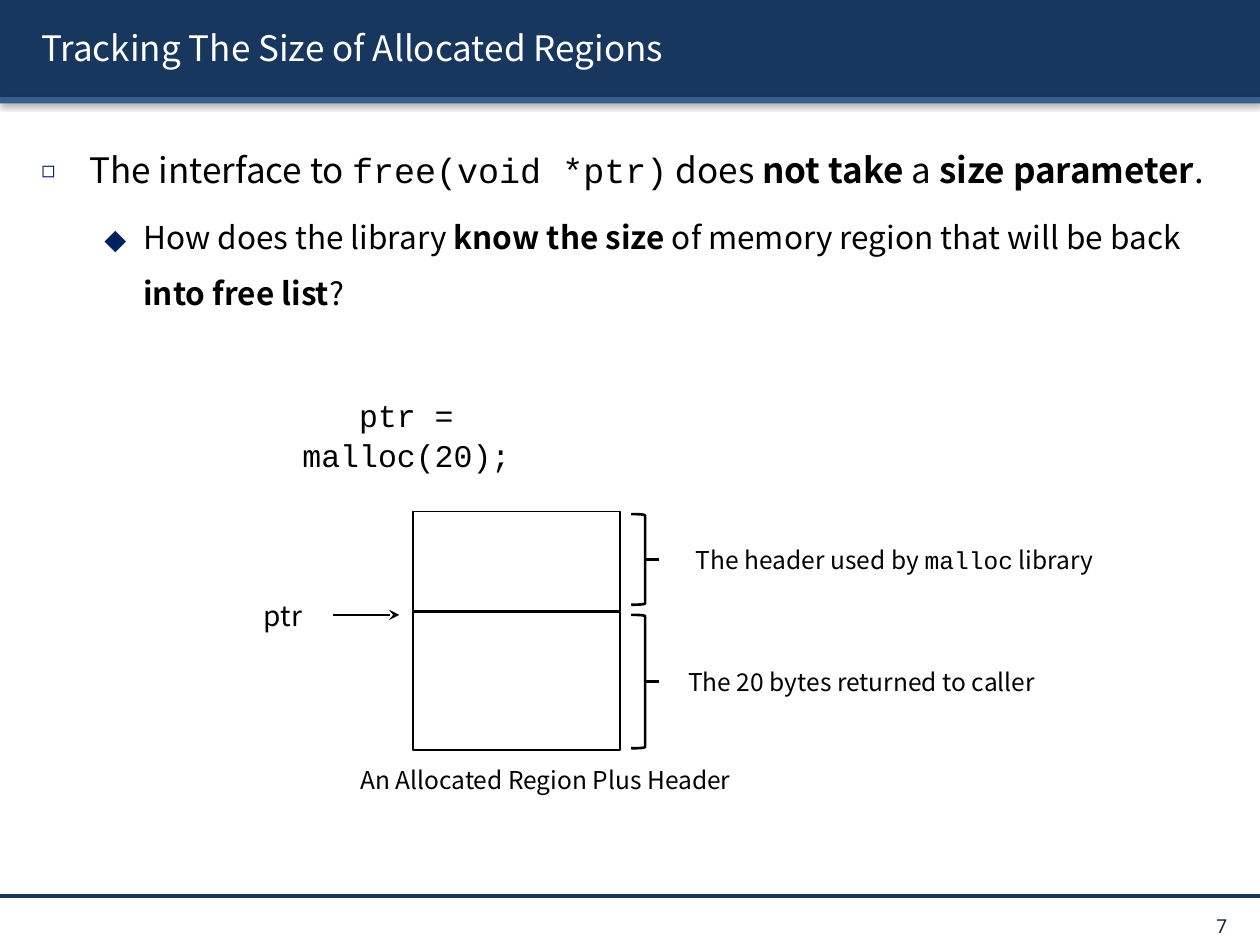
from lxml import etree
from pptx import Presentation
from pptx.dml.color import RGBColor
from pptx.enum.shapes import MSO_CONNECTOR, MSO_SHAPE
from pptx.enum.text import MSO_ANCHOR, PP_ALIGN
from pptx.oxml.ns import qn
from pptx.util import Inches, Pt

RECT, BRACKET = MSO_SHAPE.RECTANGLE, MSO_SHAPE.RIGHT_BRACKET
LINE = MSO_CONNECTOR.STRAIGHT
LEFT, CENTER, RIGHT = PP_ALIGN.LEFT, PP_ALIGN.CENTER, PP_ALIGN.RIGHT
TOP, MIDDLE = MSO_ANCHOR.TOP, MSO_ANCHOR.MIDDLE

NAVY = RGBColor(0x17, 0x37, 0x5E)
BLUE = RGBColor(0x37, 0x60, 0x92)
INK = RGBColor(0x0F, 0x24, 0x3E)
MARK = RGBColor(0x00, 0x20, 0x60)
BLACK = RGBColor(0, 0, 0)
WHITE = RGBColor(255, 255, 255)

SANS, MONO, DIGIT = "Noto Sans CJK KR", "Courier New", "Roboto"


def sub(parent, tag, **attrs):
    return etree.SubElement(parent, qn(tag), {k: str(v) for k, v in attrs.items()})


def shade(props, alpha, blur, dist, angle):
    effects = props.find(qn("a:effectLst"))
    if effects is None:
        effects = sub(props, "a:effectLst")
    cast = sub(effects, "a:outerShdw", blurRad=Pt(blur), dist=Pt(dist),
               dir=angle * 60000, algn="tl", rotWithShape=0)
    color = sub(cast, "a:srgbClr", val=BLACK)
    sub(color, "a:alpha", val=alpha * 1000)


def block(slide, kind, x, y, w, h, fill=None, line=None, width=1):
    shape = slide.shapes.add_shape(kind, Inches(x), Inches(y), Inches(w), Inches(h))
    shape.shadow.inherit = False
    if fill is None:
        shape.fill.background()
    else:
        shape.fill.solid()
        shape.fill.fore_color.rgb = fill
    if line is None:
        shape.line.fill.background()
    else:
        shape.line.color.rgb = line
        shape.line.width = Pt(width)
    return shape


def rule(slide, x, y, w, color=BLACK, width=1.5, head=False):
    line = slide.shapes.add_connector(LINE, Inches(x), Inches(y), Inches(x + w), Inches(y))
    line.line.color.rgb = color
    line.line.width = Pt(width)
    if head:
        sub(line.line._get_or_add_ln(), "a:tailEnd", type="stealth")
    sub(line._element.spPr, "a:effectLst")


def frame(slide, x, y, w, h, anchor=MIDDLE):
    box = slide.shapes.add_textbox(Inches(x), Inches(y), Inches(w), Inches(h))
    box.text_frame.word_wrap = True
    box.text_frame.vertical_anchor = anchor
    return box.text_frame


def fill_text(para, runs, size, color=BLACK, font=SANS):
    """Each run is a pair of text and style: "" plain, "b" bold, "m" mono."""
    para.font.size = Pt(size)
    para.font.color.rgb = color
    for text, style in runs:
        run = para.add_run()
        run.text = text
        run.font.size = Pt(size)
        run.font.color.rgb = color
        run.font.name = MONO if style == "m" else font
        if style == "b":
            run.font.bold = True


def label(slide, x, y, w, h, runs, size, color=BLACK, font=SANS,
          align=CENTER, anchor=MIDDLE):
    text = frame(slide, x, y, w, h, anchor)
    para = text.paragraphs[0]
    para.alignment = align
    fill_text(para, runs, size, color, font)
    return text


def bullet(para, sign, left, hang, scale):
    props = para._p.get_or_add_pPr()
    props.set("marL", str(Inches(left)))
    props.set("indent", str(-Inches(hang)))
    sub(sub(props, "a:buClr"), "a:srgbClr", val=MARK)
    sub(props, "a:buSzPct", val=scale * 1000)
    sub(props, "a:buFont", typeface=SANS)
    sub(props, "a:buChar", char=sign)


def header(slide, w, h):
    # Two stacked bars, then the title
    strip = 0.05
    for y, tall, color in ((0, h - strip, NAVY), (h - strip, strip, BLUE)):
        bar = block(slide, RECT, 0, y, w, tall, color)
        shade(bar._element.spPr, 38, 3.1, 1.6, 90)
    text = label(slide, 0.23, 0.06, w - 0.39, 0.64,
                 [("Tracking The Size of Allocated Regions", "")],
                 20, WHITE, align=LEFT)
    props = text.paragraphs[0].runs[0].font._element
    effects = etree.Element(qn("a:effectLst"))
    props.find(qn("a:solidFill")).addnext(effects)
    shade(props, 100, 0, 2, 45)


def body(slide, x, y, w, h):
    text = frame(slide, x, y, w, h, TOP)
    items = (
        ("◻", 0.38, 0.38, 65, 20, 0, (
            ("The interface to ", ""), ("free(void *ptr)", "m"), (" does ", ""),
            ("not take", "b"), (" a ", ""), ("size parameter", "b"), (".", ""))),
        ("⬥", 0.81, 0.31, 100, 18, 5, (
            ("How does the library ", ""), ("know the size", "b"),
            (" of memory region that will be back ", ""),
            ("into free list", "b"), ("?", ""))),
    )
    for i, (sign, left, hang, scale, size, gap, runs) in enumerate(items):
        para = text.add_paragraph() if i else text.paragraphs[0]
        para.level = i
        para.line_spacing = 1.5
        para.space_before = Pt(gap)
        bullet(para, sign, left, hang, scale)
        fill_text(para, runs, size)


def diagram(slide, x, y):
    # Call that allocates the region
    code = label(slide, x, y, 2.75, 0.7, [("ptr = malloc(20);", "m")], 18, anchor=TOP)
    code.margin_left = code.margin_right = Inches(0.15)
    code.paragraphs[0].line_spacing = 1.07

    # Memory cells, each with a bracket, a tick and a label
    cells = (
        (0.99, 0.79, 1.01, 0.72, 3.52,
         [("The header used by ", ""), ("malloc", "m"), (" library", "")]),
        (1.79, 1.09, 1.81, 1.06, 3, [("The 20 bytes returned to caller", "")]),
    )
    for top, tall, start, span, wide, runs in cells:
        block(slide, RECT, x + 1.43, y + top, 1.64, tall, WHITE, BLACK)
        block(slide, BRACKET, x + 3.16, y + start, 0.11, span, line=BLACK, width=1.5)
        mid = y + start + span / 2
        rule(slide, x + 3.26, mid, 0.12)
        label(slide, x + 3.49, mid - 0.17, wide, 0.34, runs, 14)

    # Pointer and caption
    label(slide, x, y + 1.64, 0.79, 0.34, [("ptr", "")], 16)
    rule(slide, x + 0.79, y + 1.81, 0.53, head=True)
    label(slide, x + 0.74, y + 2.95, 3.48, 0.34,
          [("An Allocated Region Plus Header", "")], 14)


def footer(slide, y, w):
    rule(slide, 0, y, w, NAVY, 2)
    text = label(slide, w - 1.29, y + 0.1, 1.17, 0.24, [("7", "")], 11, INK,
                 DIGIT, RIGHT, TOP)
    text.margin_right = Inches(0.14)


def main():
    deck = Presentation()
    deck.slide_width, deck.slide_height = Inches(10), Inches(7.5)
    slide = deck.slides.add_slide(deck.slide_layouts[6])
    header(slide, 10, 0.82)
    body(slide, 0.23, 0.96, 9.61, 6.02)
    diagram(slide, 1.85, 3.07)
    footer(slide, 7.11, 10)
    deck.save("out.pptx")


if __name__ == "__main__":
    main()
